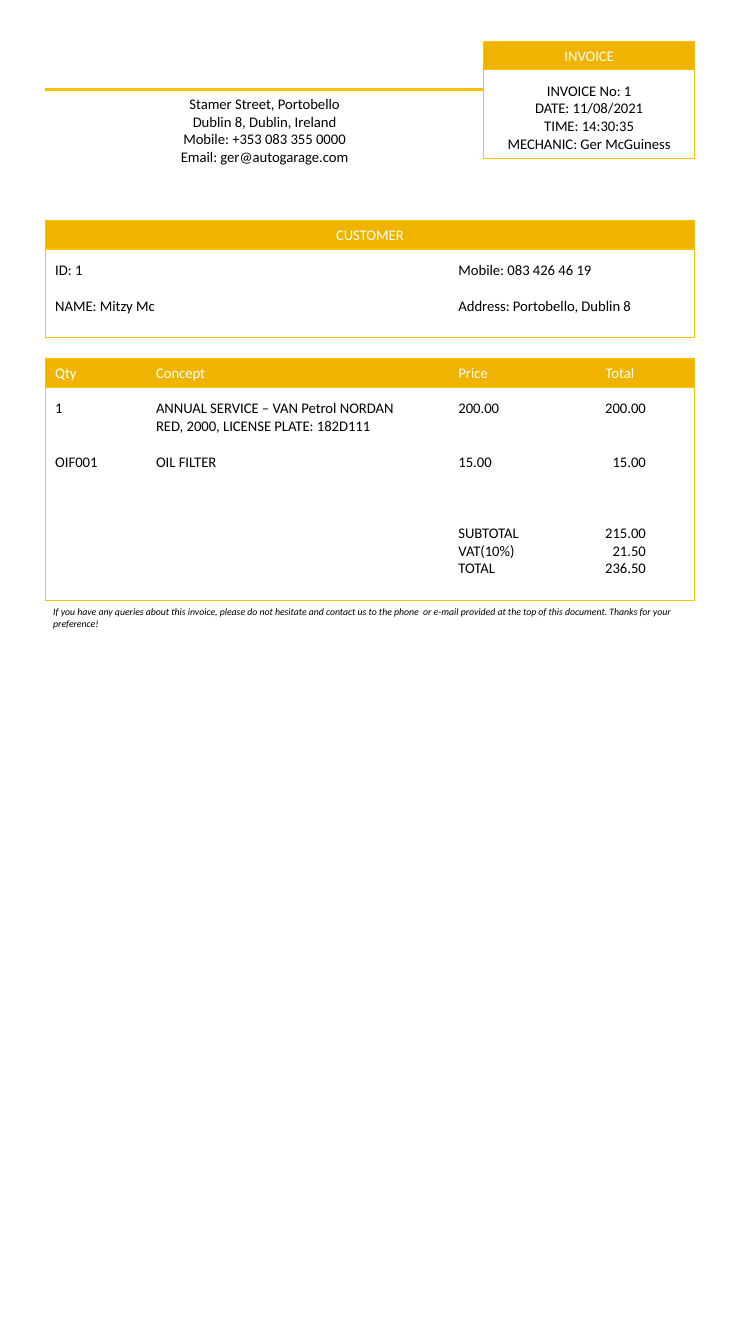
from dataclasses import dataclass

from lxml import etree
from pptx import Presentation
from pptx import util as u
from pptx.dml.color import RGBColor
from pptx.enum import shapes, text
from pptx.oxml.ns import qn

PX = u.Inches(1) // 100


@dataclass(frozen=True)
class Theme:
    font: str = "Calibri"
    body: float = 10.5
    note: float = 7
    line_height: float = 12.8
    ink: str = "000000"
    paper: str = "FFFFFF"
    band: str = "F0B400"
    border: str = "FFC000"
    border_width: float = 0.75
    rule_width: float = 2.5


THEME = Theme()
BAND_HEIGHT = 28
BODY_INSET = 40
CONCEPT, PRICE, TOTAL, TOTAL_END = 100, 400, 546, 586


def px(*lengths):
    return [u.Emu(n * PX) for n in lengths]


def set_tabs(p, tabs):
    """Add (position, alignment) tab stops, measured from the text's left edge."""
    tab_list = etree.SubElement(p._p.get_or_add_pPr(), qn("a:tabLst"))
    for position, align in tabs:
        etree.SubElement(tab_list, qn("a:tab"), pos=str(position * PX), algn=align)


def write(sp, lines, color=THEME.ink, size=THEME.body, align=text.PP_ALIGN.LEFT,
          top=5, anchor=text.MSO_ANCHOR.TOP, tabs=()):
    """Fill a shape with (text, blank lines before) pairs."""
    tf = sp.text_frame
    tf.word_wrap = True
    tf.vertical_anchor = anchor
    tf.margin_left, tf.margin_right, tf.margin_top, tf.margin_bottom = px(10, 10, top, 5)
    for i, (line, gap) in enumerate(lines):
        p = tf.paragraphs[0] if i == 0 else tf.add_paragraph()
        p.text = line
        p.alignment = align
        if gap:
            p.space_before = u.Pt(gap * THEME.line_height)
        if tabs:
            set_tabs(p, tabs)
        for r in p.runs:
            r.font.name = THEME.font
            r.font.size = u.Pt(size)
            r.font.color.rgb = RGBColor.from_string(color)


def add_box(slide, box, fill):
    sp = slide.shapes.add_shape(shapes.MSO_SHAPE.RECTANGLE, *px(*box))
    sp.shadow.inherit = False
    sp.fill.solid()
    sp.fill.fore_color.rgb = RGBColor.from_string(fill)
    sp.line.color.rgb = RGBColor.from_string(THEME.border)
    sp.line.width = u.Pt(THEME.border_width)
    return sp


def add_panel(slide, box, heading, lines, heading_align=text.PP_ALIGN.CENTER,
              align=text.PP_ALIGN.LEFT, heading_tabs=(), tabs=()):
    """Draw a bordered box with a coloured heading band along its top."""
    left, top, width, _ = box
    write(add_box(slide, box, THEME.paper), lines, align=align, top=BODY_INSET, tabs=tabs)
    band = add_box(slide, (left, top, width, BAND_HEIGHT), THEME.band)
    write(band, [(heading, 0)], color=THEME.paper, align=heading_align,
          anchor=text.MSO_ANCHOR.MIDDLE, tabs=heading_tabs)


def add_letterhead(slide, box):
    left, top, width, height = box
    contact = slide.shapes.add_textbox(*px(left + 18, top, width - 36, height))
    write(contact, [
        ("Stamer Street, Portobello", 0),
        ("Dublin 8, Dublin, Ireland", 0),
        ("Mobile: +353 083 355 0000", 0),
        ("Email: ger@autogarage.com", 0),
    ], align=text.PP_ALIGN.CENTER)
    rule = slide.shapes.add_connector(shapes.MSO_CONNECTOR.STRAIGHT,
                                      *px(left, top, left + width, top))
    rule.line.color.rgb = RGBColor.from_string(THEME.border)
    rule.line.width = u.Pt(THEME.rule_width)
    etree.SubElement(rule._element.spPr, qn("a:effectLst"))


def add_invoice_details(slide, box):
    add_panel(slide, box, "INVOICE", [
        ("INVOICE No: 1", 0),
        ("DATE: 11/08/2021", 0),
        ("TIME: 14:30:35", 0),
        ("MECHANIC: Ger McGuiness", 0),
    ], align=text.PP_ALIGN.CENTER)


def add_customer(slide, box):
    add_panel(slide, box, "CUSTOMER", [
        ("ID: 1\tMobile: 083 426 46 19", 0),
        ("NAME: Mitzy Mc\tAddress: Portobello, Dublin 8", 1),
    ], tabs=[(PRICE, "l")])


def add_charges(slide, box):
    columns = [(CONCEPT, "l"), (PRICE, "l")]
    add_panel(slide, box, "Qty\tConcept\tPrice\tTotal", [
        ("1\tANNUAL SERVICE – VAN Petrol NORDAN\t200.00\t200.00", 0),
        ("\tRED, 2000, LICENSE PLATE: 182D111", 0),
        ("OIF001\tOIL FILTER\t15.00\t15.00", 1),
        ("\t\tSUBTOTAL\t215.00", 3),
        ("\t\tVAT(10%)\t21.50", 0),
        ("\t\tTOTAL\t236.50", 0),
    ], heading_align=text.PP_ALIGN.LEFT, heading_tabs=columns + [(TOTAL, "l")],
        tabs=columns + [(TOTAL_END, "r")])


def add_note(slide, box):
    note = slide.shapes.add_textbox(*px(*box))
    write(note, [("If you have any queries about this invoice, please do not hesitate and "
                  "contact us to the phone  or e-mail provided at the top of this document. "
                  "Thanks for your preference!", 0)], size=THEME.note)
    note.text_frame.paragraphs[0].runs[0].font.italic = True


def main():
    prs = Presentation()
    prs.slide_width, prs.slide_height = px(750, 1333)
    slide = prs.slides.add_slide(prs.slide_layouts[6])
    add_letterhead(slide, (45, 89, 435, 81))
    add_invoice_details(slide, (480, 41, 209, 116))
    add_customer(slide, (45, 219, 644, 116))
    add_charges(slide, (45, 356, 644, 240))
    add_note(slide, (43, 596, 644, 34))
    prs.save("out.pptx")


if __name__ == "__main__":
    main()
